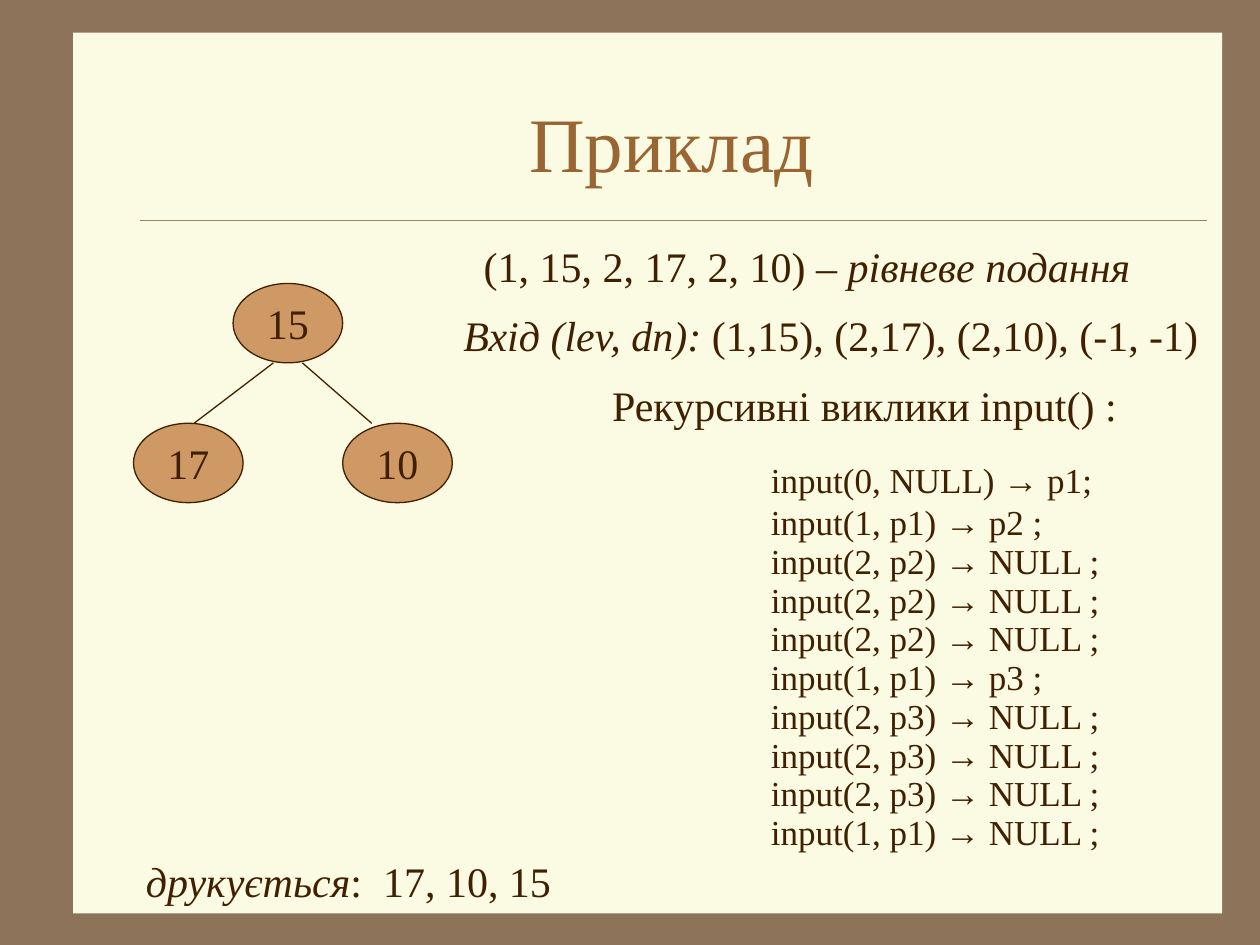
from lxml.etree import SubElement
from pptx import Presentation
from pptx.dml.color import RGBColor
from pptx.enum.shapes import MSO_CONNECTOR, MSO_SHAPE
from pptx.enum.text import MSO_ANCHOR, MSO_AUTO_SIZE, PP_ALIGN
from pptx.oxml.ns import qn
from pptx.util import Inches, Pt

FRAME = RGBColor(0x8C, 0x73, 0x5A)
PAPER = RGBColor(0xFB, 0xFA, 0xE2)
RULE = RGBColor(0xA0, 0x83, 0x66)
TITLE = RGBColor(0x99, 0x66, 0x33)
INK = RGBColor(0x40, 0x20, 0x00)
NODE = RGBColor(0xCE, 0x99, 0x64)
FONT = "Times New Roman"
NODE_W, NODE_H = 0.87, 0.63


class SlideBuilder:
    def __init__(self, slide):
        self.slide = slide
        self.shapes = slide.shapes

    def style(self, p, size, color=INK):
        p.font.name = FONT
        p.font.size = Pt(size)
        p.font.color.rgb = color

    def background(self, color):
        fill = self.slide.background.fill
        fill.solid()
        fill.fore_color.rgb = color

    def shape(self, kind, x, y, w, h, color):
        sp = self.shapes.add_shape(kind, Inches(x), Inches(y), Inches(w), Inches(h))
        sp.shadow.inherit = False
        sp.fill.solid()
        sp.fill.fore_color.rgb = color
        return sp

    def panel(self, x, y, w, h):
        """Add the paper sheet behind everything else."""
        sp = self.shape(MSO_SHAPE.RECTANGLE, x, y, w, h, PAPER)
        sp.line.fill.background()
        self.shapes._spTree.insert(2, sp._element)

    def title(self, text, x, y, w, h):
        sp = self.shapes.title
        sp.left, sp.top, sp.width, sp.height = map(Inches, (x, y, w, h))
        tf = sp.text_frame
        tf.text = text
        tf.auto_size = MSO_AUTO_SIZE.NONE
        tf.vertical_anchor = MSO_ANCHOR.MIDDLE
        p = tf.paragraphs[0]
        p.alignment = PP_ALIGN.CENTER
        self.style(p, 44, TITLE)

    def line(self, x1, y1, x2, y2, color=INK, width=0.75):
        cxn = self.shapes.add_connector(
            MSO_CONNECTOR.STRAIGHT, Inches(x1), Inches(y1), Inches(x2), Inches(y2))
        cxn.line.color.rgb = color
        cxn.line.width = Pt(width)
        SubElement(cxn._element.spPr, qn("a:effectLst"))

    def node(self, text, x, y):
        sp = self.shape(MSO_SHAPE.OVAL, x, y, NODE_W, NODE_H, NODE)
        sp.line.color.rgb = INK
        sp.line.width = Pt(0.75)
        tf = sp.text_frame
        tf.text = text
        tf.word_wrap = False
        tf.vertical_anchor = MSO_ANCHOR.MIDDLE
        p = tf.paragraphs[0]
        p.alignment = PP_ALIGN.CENTER
        self.style(p, 24)

    def text(self, paragraphs, x, y, w, h, size=24):
        """Add paragraphs, each a list of (text, italic) runs."""
        sp = self.shapes.add_textbox(Inches(x), Inches(y), Inches(w), Inches(h))
        tf = sp.text_frame
        tf.word_wrap = True
        for i, runs in enumerate(paragraphs):
            p = tf.add_paragraph() if i else tf.paragraphs[0]
            if i:
                p.line_spacing = 0.4
                p.space_before = Pt(12.5)
            self.style(p, size)
            for words, italic in runs:
                r = p.add_run()
                r.text = words
                r.font.italic = italic


def main():
    prs = Presentation()
    prs.slide_width, prs.slide_height = Inches(10), Inches(7.5)
    b = SlideBuilder(prs.slides.add_slide(prs.slide_layouts[5]))

    b.background(FRAME)
    b.panel(0.58, 0.26, 9.12, 6.99)
    b.line(1.11, 1.75, 9.58, 1.75, RULE, 0.25)
    b.title("Приклад", 1.08, 0.5, 8.5, 1.25)

    root_y, leaf_y = 2.25, 3.36
    for value, x, y in (("15", 1.85, root_y), ("17", 1.06, leaf_y), ("10", 2.72, leaf_y)):
        b.node(value, x, y)
    for x1, x2 in ((2.17, 1.54), (2.4, 2.95)):
        b.line(x1, root_y + NODE_H, x2, leaf_y)

    notes = (
        ([("(1, 15, 2, 17, 2, 10) – ", False), ("рівневе подання", True)], 3.74, 1.86, 5.75),
        ([("Вхід (lev, dn):", True), (" (1,15), (2,17), (2,10), (-1, -1)", False)],
         3.58, 2.41, 6.22),
        ([("Рекурсивні виклики input() :", False)], 4.76, 2.96, 4.57),
        ([("друкується", True), (":  17, 10, 15", False)], 1.06, 6.74, 3.54),
    )
    for runs, x, y, w in notes:
        b.text([runs], x, y, w, 0.5)

    calls = ["input(0, NULL) → p1;"]
    for child in ("p2", "p3"):
        calls.append(f"input(1, p1) → {child} ;")
        calls += [f"input(2, {child}) → NULL ;"] * 3
    calls.append("input(1, p1) → NULL ;")
    b.text([[(call, False)] for call in calls], 6.02, 3.59, 3.54, 3.2, size=20)

    prs.save("out.pptx")


if __name__ == "__main__":
    main()
